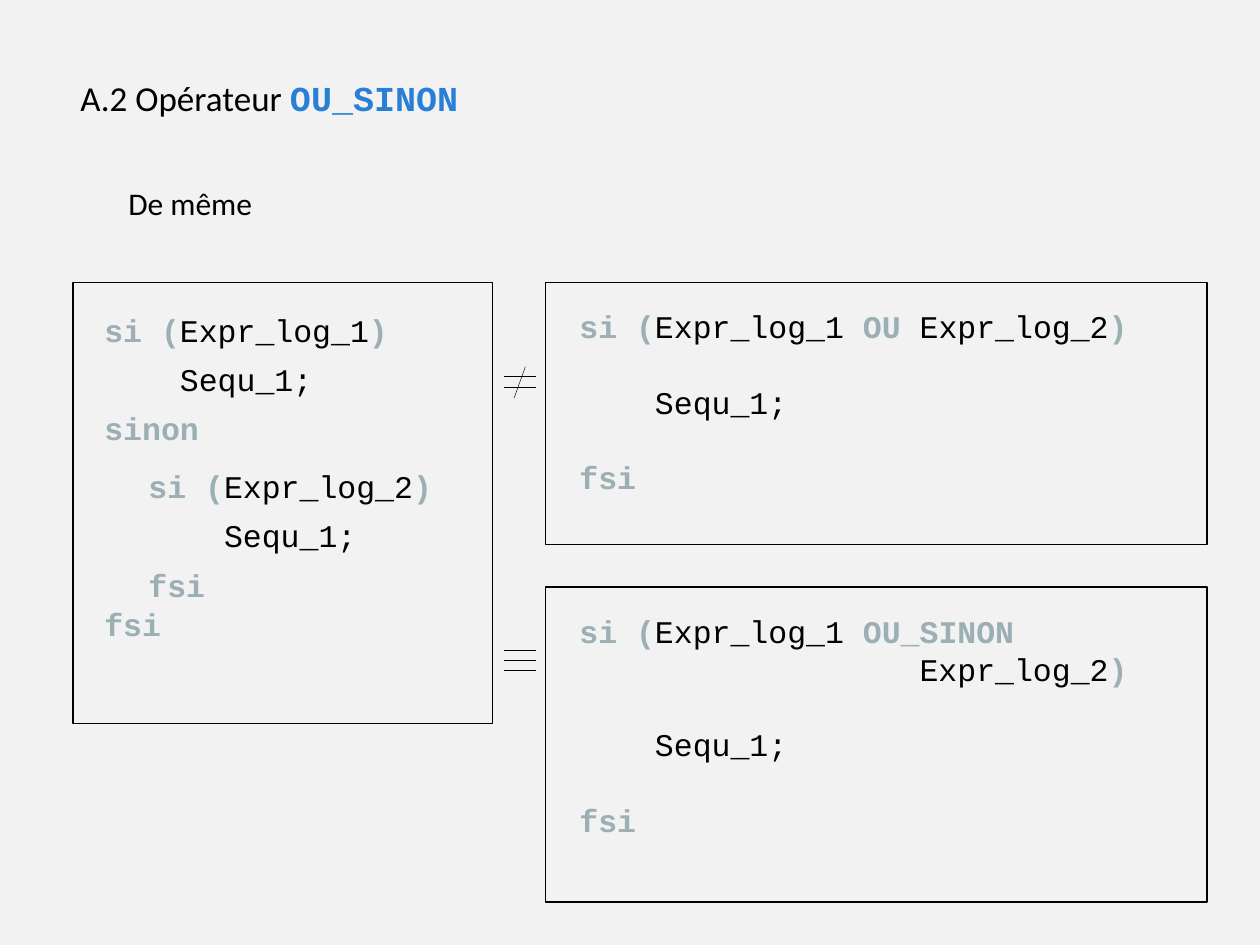
"""Build the slide on the OU_SINON operator."""
from lxml.etree import SubElement
from pptx import Presentation
from pptx.dml.color import RGBColor
from pptx.enum.shapes import MSO_CONNECTOR, MSO_SHAPE
from pptx.enum.text import MSO_ANCHOR
from pptx.oxml.ns import qn
from pptx.util import Inches, Pt

COLORS = {"bg": "F2F2F2", "text": "000000", "keyword": "9BAFB5", "accent": "297FD5"}
BODY, CODE = "Calibri", "Courier New"
CODE_SIZE, CHAR_WIDTH, LINE_HEIGHT = 18, 0.15, 21.5

STYLES = {
    "title": (BODY, 20, "text", False),
    "operator": (CODE, 20, "accent", True),
    "body": (BODY, 18, "text", False),
    "kw": (CODE, CODE_SIZE, "keyword", True),
    "code": (CODE, CODE_SIZE, "text", False),
}

# Each line: indent in characters, line gaps above, runs
SEQU = [("Sequ_1;", "code")]
FSI = [("fsi", "kw")]


def condition(name):
    return [("si (", "kw"), (name, "code"), (")", "kw")]


TEXTS = [
    ((0.54, 0.56, 3.79, 0.44), 1,
     [(0, 0, [("A.2 Opérateur ", "title"), ("OU_SINON", "operator")])]),
    ((0.92, 1.41, 1.34, 0.43), 1, [(0, 0, [("De même", "body")])]),
    ((0.73, 2.33, 2.7, 3.14), 1.3,
     [(0, 0, condition("Expr_log_1")), (4, 0, SEQU),
      (0, 0, [("sinon", "kw")]), (0, 3, FSI)]),
    ((1.08, 3.57, 2.7, 1.4), 1.3,
     [(0, 0, condition("Expr_log_2")), (4, 0, SEQU), (0, 0, FSI)]),
    ((4.5, 2.39, 5.03, 1.77), 1,
     [(0, 0, [("si (", "kw"), ("Expr_log_1 ", "code"), ("OU", "kw"),
              (" Expr_log_2", "code"), (")", "kw")]),
      (4, 1, SEQU), (0, 1, FSI)]),
    ((4.5, 4.81, 5.03, 2.1), 1,
     [(0, 0, [("si (", "kw"), ("Expr_log_1 ", "code"), ("OU_SINON", "kw")]),
      (18, 0, [("Expr_log_2", "code"), (")", "kw")]),
      (4, 1, SEQU), (0, 1, FSI)]),
]
FRAMES = [(0.58, 2.24, 3.33, 3.5), (4.33, 2.24, 5.25, 2.08), (4.33, 4.66, 5.25, 2.5)]
SIGN_BARS = [2.99, 3.07, 5.16, 5.24, 5.32]
SIGN_LINES = [(4, y, 4.25, y) for y in SIGN_BARS] + [(4.08, 3.16, 4.17, 2.91)]


def color(name):
    return RGBColor.from_string(COLORS[name])


def add_text(slide, box, spacing, lines):
    tf = slide.shapes.add_textbox(*map(Inches, box)).text_frame
    tf.word_wrap = True
    tf.vertical_anchor = MSO_ANCHOR.TOP
    for i, (indent, gaps, runs) in enumerate(lines):
        p = tf.paragraphs[0] if i == 0 else tf.add_paragraph()
        p.line_spacing = float(spacing)
        p.space_before = Pt(gaps * spacing * LINE_HEIGHT)
        p._p.get_or_add_pPr().set("marL", str(Inches(indent * CHAR_WIDTH)))
        for text, style in runs:
            r = p.add_run()
            r.text = text
            r.font.name, size, fill, r.font.bold = STYLES[style]
            r.font.size = Pt(size)
            r.font.color.rgb = color(fill)


def add_frame(slide, box):
    sp = slide.shapes.add_shape(MSO_SHAPE.RECTANGLE, *map(Inches, box))
    sp.shadow.inherit = False
    sp.fill.background()
    sp.line.color.rgb = color("text")
    sp.line.width = Pt(0.75)


def add_line(slide, ends):
    line = slide.shapes.add_connector(MSO_CONNECTOR.STRAIGHT, *map(Inches, ends))
    line.line.color.rgb = color("text")
    line.line.width = Pt(0.25)
    SubElement(line._element.spPr, qn("a:effectLst"))


def main():
    prs = Presentation()
    prs.slide_width, prs.slide_height = Inches(10), Inches(7.5)
    slide = prs.slides.add_slide(prs.slide_layouts[6])
    slide.background.fill.solid()
    slide.background.fill.fore_color.rgb = color("bg")
    for text in TEXTS:
        add_text(slide, *text)
    for frame in FRAMES:
        add_frame(slide, frame)
    for ends in SIGN_LINES:
        add_line(slide, ends)
    prs.save("out.pptx")


if __name__ == "__main__":
    main()
